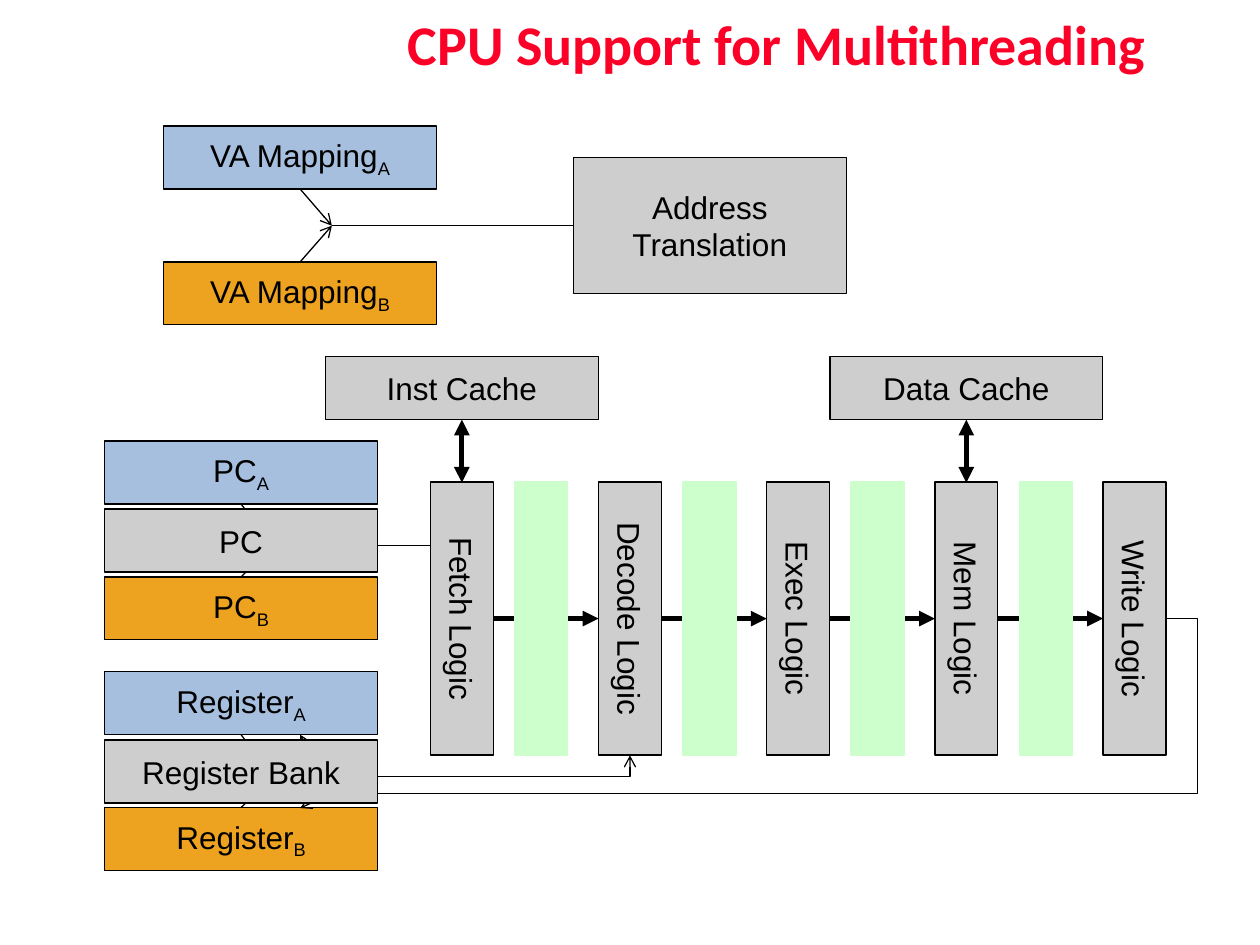
from pptx import Presentation
from pptx.dml.color import RGBColor
from pptx.enum.shapes import MSO_CONNECTOR as LINK, MSO_SHAPE as SHAPE
from pptx.enum.text import MSO_ANCHOR as ANCHOR, PP_ALIGN as ALIGN
from pptx.oxml import parse_xml
from pptx.oxml.ns import nsdecls
from pptx.util import Cm, Pt


def color(value):
    return RGBColor.from_string(value)


class Diagram:
    """Draws styled boxes and links on one slide."""

    black, gray, green = "000000", "CECECE", "CCFFCC"
    threads = {"A": "A6BFDE", "B": "EDA31F"}
    width, height = 5.5, 1.27
    thin, thick = 0.74, 3

    def __init__(self, slide):
        self.slide = slide

    def label(self, para, text, size, font, fill, bold=False, subscript=""):
        para.alignment = ALIGN.CENTER
        para.font.size, para.font.name = Pt(size), font
        para.font.bold, para.font.color.rgb = bold, color(fill)
        para.add_run().text = text
        if subscript:
            span = para.add_run()
            span.text = subscript
            span.font._element.set("baseline", "-25000")

    def title(self, text, left, top, width, height):
        box = self.slide.shapes.add_textbox(Cm(left), Cm(top), Cm(width), Cm(height))
        frame = box.text_frame
        frame.word_wrap, frame.vertical_anchor = True, ANCHOR.MIDDLE
        para = frame.paragraphs[0]
        para.line_spacing = 0.9
        self.label(para, text, 32, "Calibri", "FC0128", bold=True)

    def box(self, text, left, top, fill=gray, edge=black, height=height, subscript="", rotation=0):
        box = self.slide.shapes.add_shape(
            SHAPE.RECTANGLE, Cm(left), Cm(top), Cm(self.width), Cm(height))
        box.shadow.inherit = False
        box.rotation = rotation
        box.fill.solid()
        box.fill.fore_color.rgb = color(fill)
        box.line.color.rgb, box.line.width = color(edge), Pt(self.thin)
        frame = box.text_frame
        frame.word_wrap, frame.vertical_anchor = False, ANCHOR.MIDDLE
        for index, line in enumerate(text.splitlines()):
            para = frame.add_paragraph() if index else frame.paragraphs[0]
            self.label(para, line, 18, "Arial", self.black, subscript=subscript)

    def upright(self, text, center_x, center_y, **style):
        height = style.get("height", self.height)
        self.box(text, center_x - self.width / 2, center_y - height / 2, rotation=90, **style)

    def link(self, start, end, width=thin, head=None, tail=None, kind=LINK.STRAIGHT):
        link = self.slide.shapes.add_connector(kind, *map(Cm, start + end))
        link.line.color.rgb, link.line.width = color(self.black), Pt(width)
        properties = link._element.spPr
        properties.append(parse_xml(f"<a:effectLst {nsdecls('a')}/>"))
        outline = link.line._get_or_add_ln()
        for tag, arrow in (("headEnd", head), ("tailEnd", tail)):
            if arrow:
                outline.append(parse_xml(f'<a:{tag} {nsdecls("a")} type="{arrow}"/>'))
        return properties.prstGeom

    def corner(self, start, end):
        self.link(start, end, tail="arrow", kind=LINK.ELBOW).set("prst", "bentConnector2")

    def detour(self, start, end, adjust):
        geometry = self.link(start, end, tail="arrow", kind=LINK.ELBOW)
        guides = geometry.get_or_add_avLst()
        guides.append(parse_xml(f'<a:gd {nsdecls("a")} name="adj1" fmla="val {adjust}"/>'))

    def thread_pair(self, text, left, top, merge_y, target_x):
        center, second = left + self.width / 2, top + 2.74
        merge = (center + 0.64, merge_y)
        for (thread, fill), box_top in zip(self.threads.items(), (top, second)):
            self.box(text, left, box_top, fill, subscript=thread)
        self.link((center, top + self.height), merge, tail="arrow")
        self.link((target_x, merge_y), merge)
        self.link((center, second), merge, tail="arrow")


deck = Presentation()
deck.slide_width, deck.slide_height = Cm(25.4), Cm(19.05)
page = Diagram(deck.slides.add_slide(deck.slide_layouts[6]))
page.title("CPU Support for Multithreading", 5.92, 0, 19.48, 1.9)

stages = ["Fetch", "Decode", "Exec", "Mem", "Write"]
stage_x = [9.31 + 3.39 * index for index in range(len(stages))]
stage_y, half = 12.47, page.height / 2

for before, after in zip(stage_x, stage_x[1:]):
    page.link((before + half, stage_y), (after - half, stage_y), page.thick, tail="triangle")
for stage, x in zip(stages, stage_x):
    page.upright(f"{stage} Logic", x, stage_y)
for x in stage_x[:-1]:
    page.upright("", x + 1.6, stage_y, fill=page.green, edge=page.green, height=1.07)
for cache, x in (("Inst Cache", stage_x[0]), ("Data Cache", stage_x[3])):
    page.box(cache, x - page.width / 2, 7.19)
    page.link((x, 8.46), (x, 9.73), page.thick, "triangle", "triangle")

page.thread_pair("VA Mapping", 3.3, 2.54, 4.55, 11.56)
page.box("Address\nTranslation", 11.56, 3.17, height=2.75)
page.thread_pair("PC", 2.11, 8.89, 11, 8.69)
page.thread_pair("Register", 2.11, 13.54, 15.66, 8.69)

page.corner((5.5, 15.66), (stage_x[1], 15.23))
write_back = (6.68, 16)
page.detour((stage_x[-1] + half, stage_y), write_back, -3800)
for register_y in (16.29, 14.81):
    page.link(write_back, (6.05, register_y), tail="arrow")

page.box("PC", 2.11, 10.26)
page.box("Register Bank", 2.11, 14.92)

deck.save("out.pptx")
